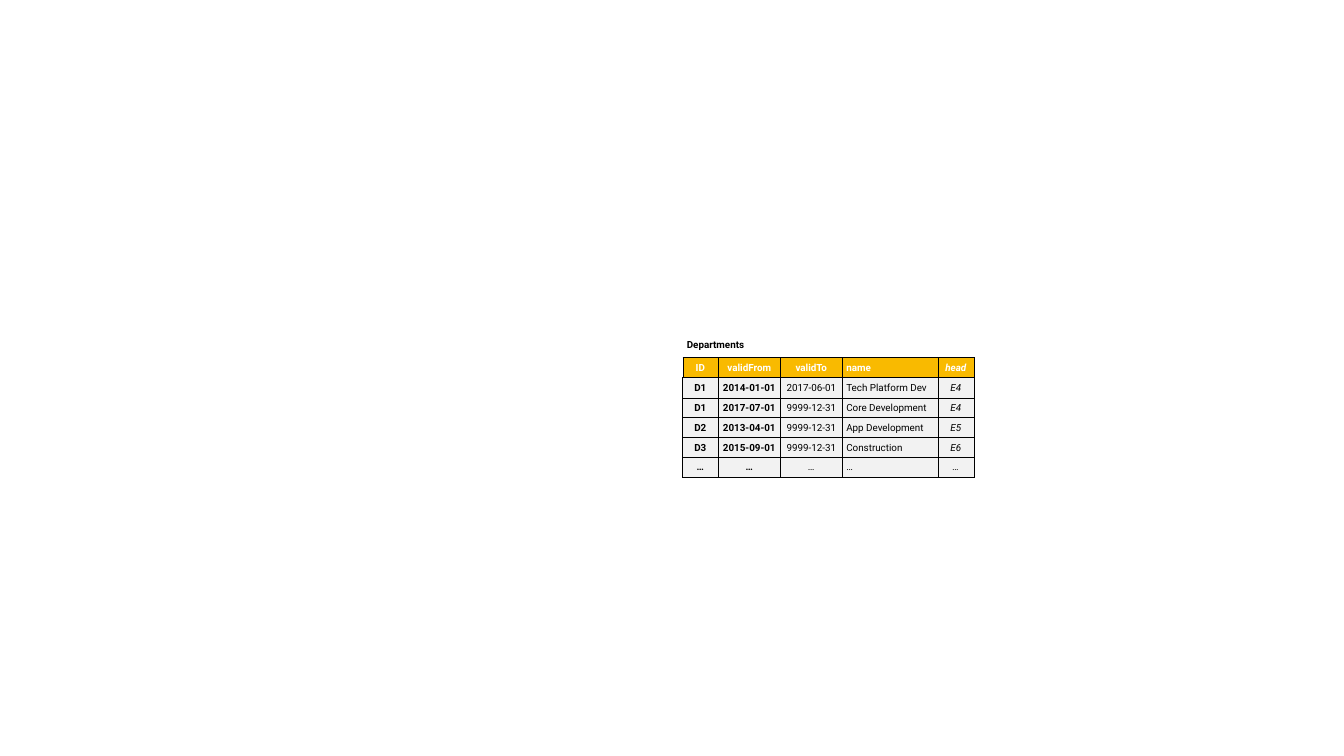
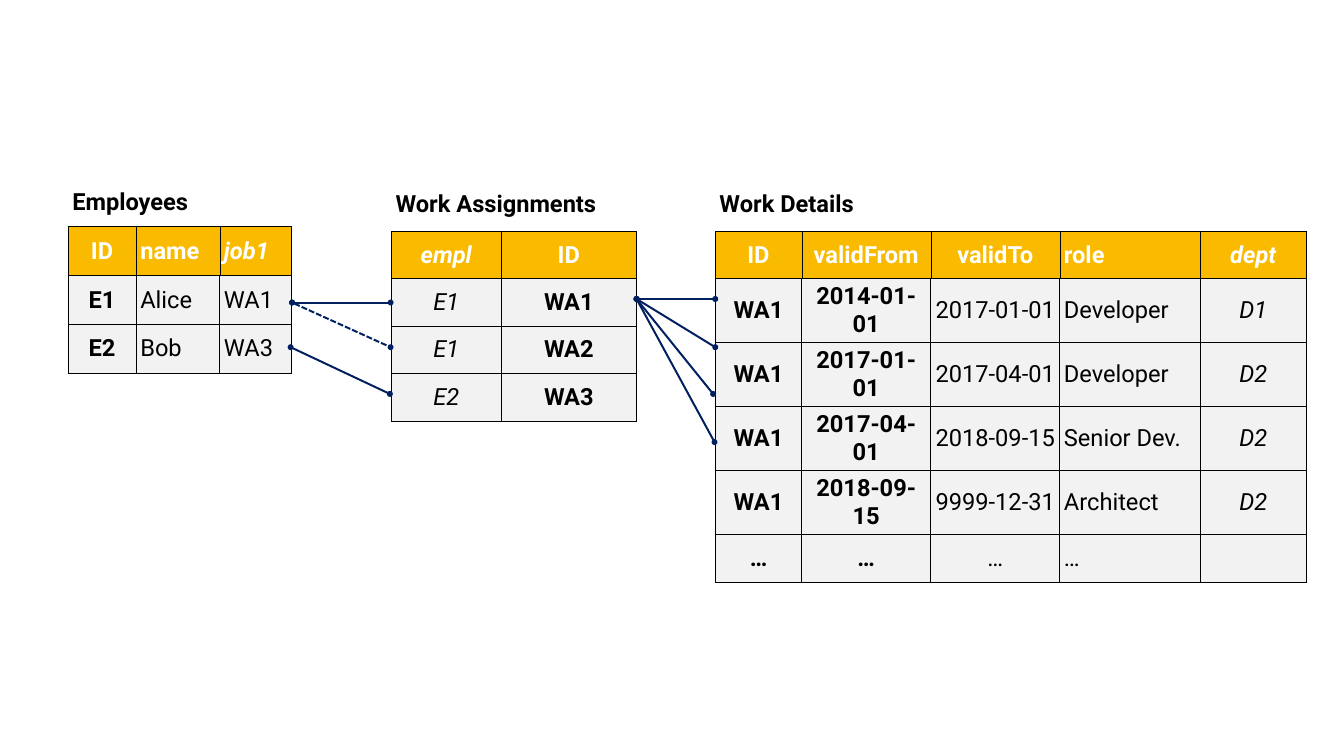
from collections import namedtuple

from lxml.etree import SubElement
from pptx import Presentation
from pptx.dml.color import RGBColor
from pptx.enum.dml import MSO_LINE
from pptx.enum.text import MSO_ANCHOR, PP_ALIGN
from pptx.oxml import parse_xml
from pptx.oxml.ns import nsdecls, qn
from pptx.util import Inches, Pt

# Shared look
FONT = "Roboto"
BLACK = RGBColor(0x00, 0x00, 0x00)
WHITE = RGBColor(0xFF, 0xFF, 0xFF)
AMBER = RGBColor(0xF9, 0xBA, 0x00)
PALE_GREY = RGBColor(0xF2, 0xF2, 0xF2)
NAVY = RGBColor(0x00, 0x20, 0x60)
CELL_MARGIN = Inches(0.06)
THICK, MEDIUM, THIN = 1, 0.5, 0.25
LEFT, CENTER = PP_ALIGN.LEFT, PP_ALIGN.CENTER
BLANK_LAYOUT = 6

# bold and italic apply to the body; italic_head marks a reference column
Column = namedtuple("Column", "name width align bold italic italic_head",
                    defaults=(CENTER, False, False, False))
Look = namedtuple("Look", "size anchor")
SMALL = Look(10, MSO_ANCHOR.TOP)
LARGE = Look(24, MSO_ANCHOR.MIDDLE)

# Table contents
DEPARTMENT_COLUMNS = [
    Column("ID", 0.5, bold=True),
    Column("validFrom", 0.88, bold=True),
    Column("validTo", 0.87),
    Column("name", 1.35, LEFT),
    Column("head", 0.51, italic=True, italic_head=True),
]
DEPARTMENTS = [
    ("D1", "2014-01-01", "2017-06-01", "Tech Platform Dev", "E4"),
    ("D1", "2017-07-01", "9999-12-31", "Core Development", "E4"),
    ("D2", "2013-04-01", "9999-12-31", "App Development", "E5"),
    ("D3", "2015-09-01", "9999-12-31", "Construction", "E6"),
    ("…",) * 5,
]
EMPLOYEE_COLUMNS = [
    Column("ID", 0.96, bold=True),
    Column("name", 1.18, LEFT),
    Column("job1", 1.01, LEFT, italic_head=True),
]
EMPLOYEES = [("E1", "Alice", "WA1"), ("E2", "Bob", "WA3")]
ASSIGNMENT_COLUMNS = [
    Column("empl", 1.55, italic=True, italic_head=True),
    Column("ID", 1.91, bold=True),
]
ASSIGNMENTS = [("E1", "WA1"), ("E1", "WA2"), ("E2", "WA3")]
DETAIL_COLUMNS = [
    Column("ID", 1.22, bold=True),
    Column("validFrom", 1.82, bold=True),
    Column("validTo", 1.82),
    Column("role", 1.98, LEFT),
    Column("dept", 1.5, italic=True, italic_head=True),
]
DETAILS = [
    ("WA1", "2014-01-01", "2017-01-01", "Developer", "D1"),
    ("WA1", "2017-01-01", "2017-04-01", "Developer", "D2"),
    ("WA1", "2017-04-01", "2018-09-15", "Senior Dev.", "D2"),
    ("WA1", "2018-09-15", "9999-12-31", "Architect", "D2"),
    ("…", "…", "…", "…", ""),
]


def set_borders(cell, **widths):
    """Draw black borders; widths in points, keyed L, R, T and B."""
    properties = cell._tc.get_or_add_tcPr()
    sides = [side for side in "LRTB" if side in widths]
    for position, side in enumerate(sides):
        properties.insert(position, parse_xml(
            f'<a:ln{side} {nsdecls("a")} w="{Pt(widths[side])}">'
            f'<a:solidFill><a:srgbClr val="{BLACK}"/></a:solidFill>'
            f'</a:ln{side}>'))


def write_cell(cell, text, look, color=BLACK, align=LEFT, bold=False, italic=False):
    cell.margin_left = cell.margin_right = CELL_MARGIN
    cell.margin_top = cell.margin_bottom = CELL_MARGIN
    cell.vertical_anchor = look.anchor
    para = cell.text_frame.paragraphs[0]
    para.alignment = align
    if text:
        span = para.add_run()
        span.text = text
        span.font.name = FONT
        span.font.size = Pt(look.size)
        span.font.color.rgb = color
        span.font.bold = bold
        span.font.italic = italic


def fill_cell(cell, color):
    cell.fill.solid()
    cell.fill.fore_color.rgb = color


def add_entity(page, caption, left, top, columns, records, heights, look):
    """Add a captioned table; heights are for caption, header and body rows."""
    caption_height, header_height, body_height = heights
    row_heights = [caption_height, header_height] + [body_height] * len(records)
    frame = page.shapes.add_table(
        len(row_heights), len(columns), Inches(left), Inches(top),
        Inches(sum(column.width for column in columns)), Inches(sum(row_heights)))
    table = frame.table
    table.first_row = table.horz_banding = False
    for row, height in zip(table.rows, row_heights):
        row.height = Inches(height)

    # Caption across all columns
    table.cell(0, 0).merge(table.cell(0, len(columns) - 1))
    write_cell(table.cell(0, 0), caption, look, bold=True)

    for index, column in enumerate(columns):
        table.columns[index].width = Inches(column.width)
        caption_cell = table.cell(0, index)
        caption_cell.fill.background()
        set_borders(caption_cell, B=THICK)

        # Column heading
        header = table.cell(1, index)
        write_cell(header, column.name, look, WHITE, column.align, True,
                   column.italic_head)
        fill_cell(header, AMBER)
        set_borders(header, L=THIN, R=THIN, T=THICK, B=THICK)

        # Records
        for number, record in enumerate(records):
            cell = table.cell(number + 2, index)
            write_cell(cell, record[index], look, BLACK, column.align,
                       column.bold, column.italic)
            fill_cell(cell, PALE_GREY)
            set_borders(cell, L=MEDIUM, R=MEDIUM, B=MEDIUM,
                        T=MEDIUM if number else THICK)


def add_link(page, start, end, dashed=False):
    """Join two records with a line that has a dot at each end."""
    ends = [Inches(length) for length in (*start, *end)]
    link = page.shapes.add_connector(1, *ends)
    link.line.color.rgb = NAVY
    link.line.width = Pt(2)
    if dashed:
        link.line.dash_style = MSO_LINE.SQUARE_DOT
    properties = link._element.spPr
    outline = properties.find(qn("a:ln"))
    for tag in ("a:headEnd", "a:tailEnd"):
        SubElement(outline, qn(tag)).set("type", "oval")
    SubElement(properties, qn("a:effectLst"))


def build_departments(deck):
    page = deck.slides.add_slide(deck.slide_layouts[BLANK_LAYOUT])
    add_entity(page, "Departments", 9.63, 4.73, DEPARTMENT_COLUMNS, DEPARTMENTS,
               (0.32, 0.28, 0.28), SMALL)


def build_assignments(deck):
    page = deck.slides.add_slide(deck.slide_layouts[BLANK_LAYOUT])
    top = 2.51
    add_entity(page, "Employees", 0.96, top, EMPLOYEE_COLUMNS, EMPLOYEES,
               (0.69, 0.69, 0.69), LARGE)
    add_entity(page, "Work Assignments", 5.52, top, ASSIGNMENT_COLUMNS, ASSIGNMENTS,
               (0.76, 0.66, 0.67), LARGE)

    # Employees to work assignments
    add_link(page, (4.12, 4.27), (5.51, 4.9), dashed=True)
    add_link(page, (4.1, 4.9), (5.5, 5.56))
    add_link(page, (4.12, 4.27), (5.51, 4.27))

    add_entity(page, "Work Details", 10.09, top, DETAIL_COLUMNS, DETAILS,
               (0.76, 0.66, 0.67), LARGE)

    # First work assignment to its details
    for end in ((10.06, 5.56), (10.08, 6.24), (10.09, 4.22), (10.09, 4.9)):
        add_link(page, (8.98, 4.22), end)


def main():
    deck = Presentation()
    deck.slide_width = Inches(18.96)
    deck.slide_height = Inches(10.67)
    build_departments(deck)
    build_assignments(deck)
    deck.save("out.pptx")


main()
